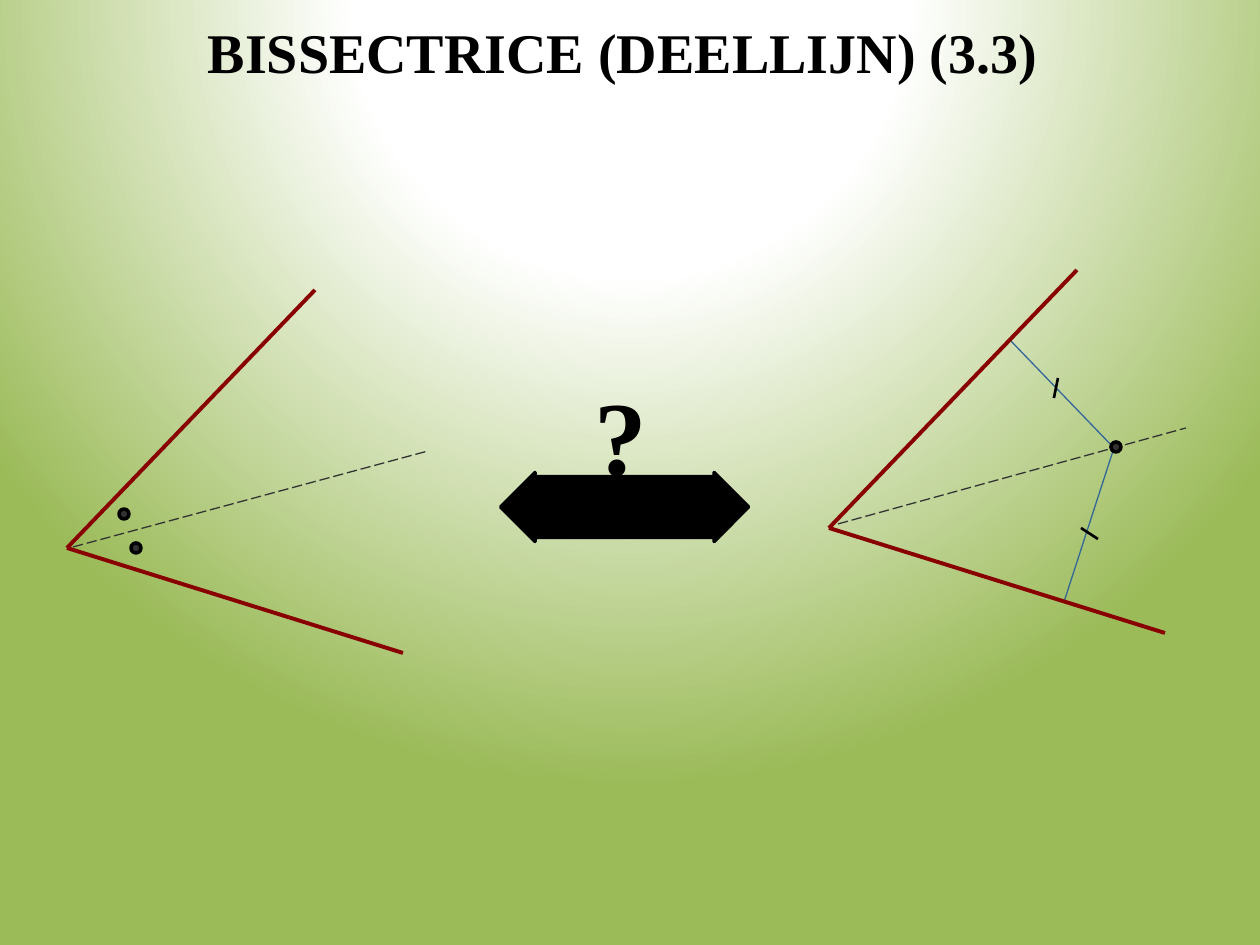
import pptx
import pptx.dml.color
import pptx.enum.dml
import pptx.enum.shapes
import pptx.enum.text
import pptx.oxml
import pptx.oxml.ns
import pptx.util
from lxml import etree

RGBColor = pptx.dml.color.RGBColor
BLACK = RGBColor(0x00, 0x00, 0x00)
DARK_RED = RGBColor(0x88, 0x00, 0x00)
DARK_GREY = RGBColor(0x33, 0x33, 0x33)
BLUE = RGBColor(0x33, 0x66, 0x99)
WHITE = RGBColor(0xFF, 0xFF, 0xFF)
GREEN = RGBColor(0x9B, 0xBB, 0x59)

FONT = "Times New Roman"
PX = 914400 // 126
DOT_SIZE = 10
ARMS = ((248, -258), (336, 105))


def px(*lengths):
    return [pptx.util.Emu(length * PX) for length in lengths]


def paint_background(page):
    """Radial glow from above the middle of the page."""
    fill = page.background.fill
    fill.gradient()
    gradient = page.background._cSld.find(".//" + pptx.oxml.ns.qn("a:gradFill"))
    stops = "".join(
        f'<a:gs pos="{position * 1000}"><a:srgbClr val="{color}"/></a:gs>'
        for position, color in ((0, WHITE), (35, WHITE), (100, GREEN))
    )
    glow = pptx.oxml.parse_xml(
        f'<a:gradFill {pptx.oxml.ns.nsdecls("a")} rotWithShape="1">'
        f"<a:gsLst>{stops}</a:gsLst>"
        '<a:path path="circle">'
        '<a:fillToRect l="50000" t="-80000" r="50000" b="180000"/>'
        "</a:path></a:gradFill>"
    )
    gradient.getparent().replace(gradient, glow)


def add_line(shapes, start, end, color, width, dash=None):
    line = shapes.add_connector(
        pptx.enum.shapes.MSO_CONNECTOR.STRAIGHT, *px(*start, *end)
    )
    line.line.color.rgb = color
    line.line.width = pptx.util.Pt(width)
    if dash is not None:
        line.line.dash_style = dash
    properties = line._element.spPr
    etree.SubElement(properties, pptx.oxml.ns.qn("a:effectLst"))


def add_angle(page, apex):
    group = page.shapes.add_group_shape()
    for across, down in ARMS:
        end = (apex[0] + across, apex[1] + down)
        add_line(group.shapes, apex, end, DARK_RED, 2.25)


def add_bisector(page, start, end):
    dash = pptx.enum.dml.MSO_LINE.LONG_DASH
    add_line(page.shapes, start, end, DARK_GREY, 0.75, dash)


def add_solid(page, kind, frame, fill):
    shape = page.shapes.add_shape(kind, *px(*frame))
    shape.shadow.inherit = False
    shape.fill.solid()
    shape.fill.fore_color.rgb = fill
    shape.line.color.rgb = BLACK
    shape.line.width = pptx.util.Pt(2)
    return shape


def add_dot(page, left, top):
    frame = (left, top, DOT_SIZE, DOT_SIZE)
    add_solid(page, pptx.enum.shapes.MSO_SHAPE.OVAL, frame, DARK_GREY)


def add_double_arrow(page):
    kind = pptx.enum.shapes.MSO_SHAPE.UP_DOWN_ARROW
    arrow = add_solid(page, kind, (590, 383, 69, 248), BLACK)
    arrow.rotation = 90
    arrow.adjustments[0] = 0.27
    arrow.adjustments[1] = 0.88


def add_text(page, frame, text, size, wrap=True):
    box = page.shapes.add_textbox(*px(*frame))
    box.text_frame.word_wrap = wrap
    para = box.text_frame.paragraphs[0]
    span = para.add_run()
    span.text = text
    span.font.name = FONT
    span.font.size = pptx.util.Pt(size)
    span.font.bold = True
    span.font.color.rgb = BLACK
    return box.text_frame


def main():
    deck = pptx.Presentation()
    deck.slide_width, deck.slide_height = px(1260, 945)
    page = deck.slides.add_slide(deck.slide_layouts[6])
    paint_background(page)

    # Left: the bisector makes two equal angles
    add_angle(page, (67, 548))
    add_bisector(page, (73, 547), (428, 451))
    add_dot(page, 119, 509)
    add_dot(page, 131, 543)

    # Middle: are both descriptions equivalent?
    add_double_arrow(page)
    question = add_text(page, (582, 364, 87, 140), "?", 60, wrap=False)
    question.auto_size = pptx.enum.text.MSO_AUTO_SIZE.SHAPE_TO_FIT_TEXT

    # Right: a point on the bisector has equal distances to both arms
    add_line(page.shapes, (1114, 448), (1010, 340), BLUE, 0.75)
    add_line(page.shapes, (1115, 445), (1064, 602), BLUE, 0.75)
    add_angle(page, (829, 528))
    add_bisector(page, (838, 524), (1186, 428))
    add_dot(page, 1111, 442)
    for start, end in (((1098, 539), (1081, 528)), ((1054, 398), (1058, 378))):
        add_line(page.shapes, start, end, BLACK, 1.5)

    # Title
    title = add_text(page, (0, 0, 1260, 102), "BISSECTRICE (DEELLIJN) (3.3) ", 32)
    title.vertical_anchor = pptx.enum.text.MSO_ANCHOR.MIDDLE
    title.paragraphs[0].alignment = pptx.enum.text.PP_ALIGN.CENTER

    deck.save("out.pptx")


if __name__ == "__main__":
    main()
